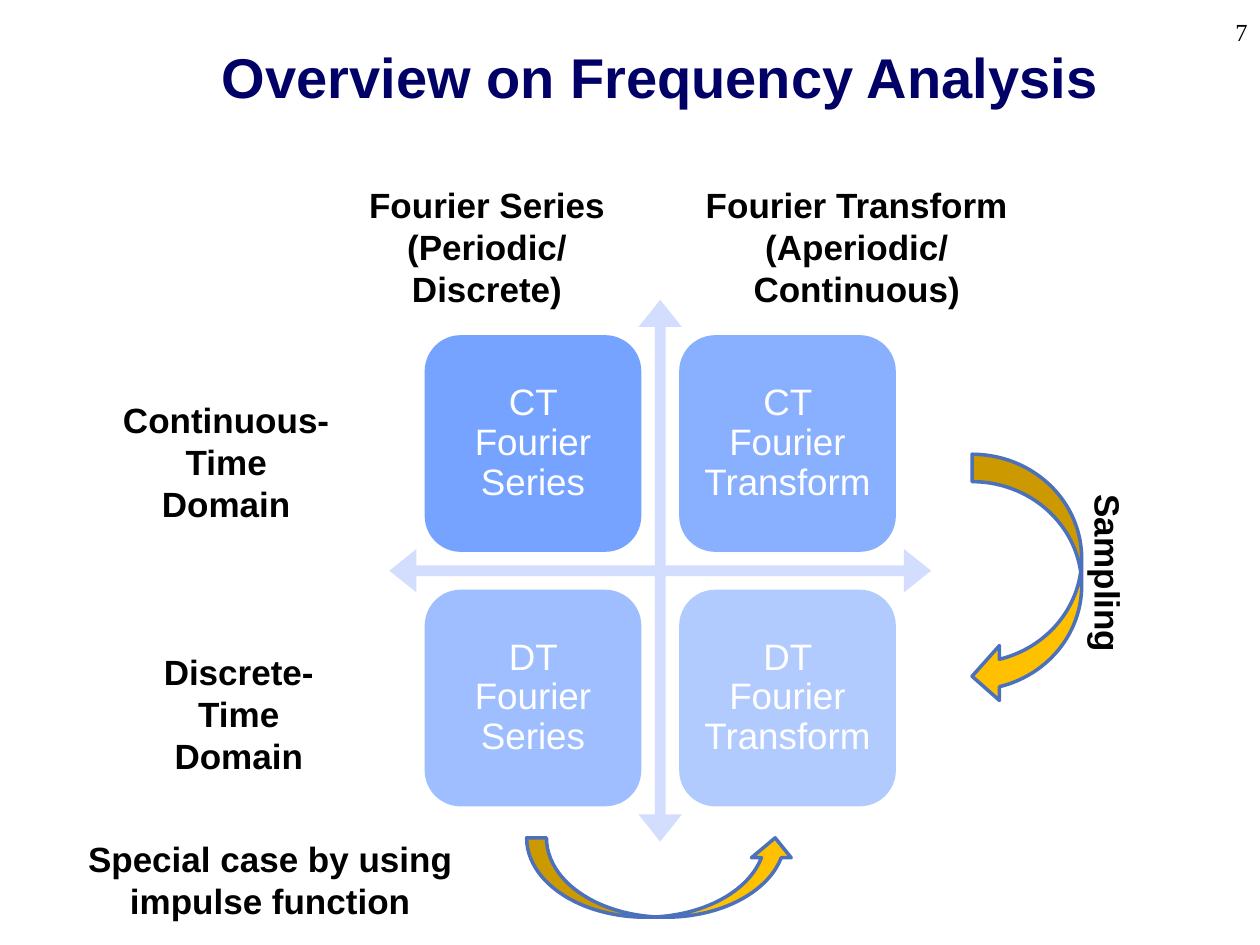
from lxml.etree import SubElement
from pptx import Presentation
from pptx.dml.color import RGBColor
from pptx.enum.shapes import MSO_SHAPE as Shape
from pptx.enum.text import MSO_ANCHOR as Anchor, PP_ALIGN as Align
from pptx.oxml.ns import qn
from pptx.util import Inches, Pt

NAVY = RGBColor(0x00, 0x00, 0x66)
BLACK = RGBColor(0x00, 0x00, 0x00)
WHITE = RGBColor(0xFF, 0xFF, 0xFF)
BLUE = RGBColor(0x66, 0x99, 0xFF)
PALE_BLUE = RGBColor(0xD3, 0xDE, 0xFF)
GOLD = RGBColor(0xFF, 0xC0, 0x00)
OUTLINE = RGBColor(0x4B, 0x71, 0xBD)

TILE_LEFT, TILE_TOP = 3.37, 2.66
TILE_SIZE, TILE_PITCH = 1.72, 2.02
TILES = [
    ["CT Fourier Series", "CT Fourier Transform"],
    ["DT Fourier Series", "DT Fourier Transform"],
]
TILE_OPACITY = [[90, 77], [63, 50]]

LABELS = [
    ("Continuous-Time\nDomain", (0.7, 3.11, 2.19, 0.77), 0),
    ("Discrete-Time\nDomain", (0.99, 5.11, 1.81, 0.77), 0),
    ("Fourier Series\n(Periodic/Discrete)", (2.67, 1.41, 2.39, 0.77), 0),
    ("Fourier Transform\n(Aperiodic/Continuous)", (5.33, 1.41, 2.94, 0.77), 0),
    ("Special case by using impulse function", (0.43, 6.6, 3.43, 0.77), 0),
    ("Sampling ", (7.08, 4.37, 3.43, 0.44), 90),
]


def inches(place):
    return [Inches(length) for length in place]


def write(frame, text, size=20, color=BLACK, bold=True, font="Arial",
          align=Align.CENTER, anchor=Anchor.TOP, spacing=1.0, inset=(0.1, 0.05)):
    """Fill a text frame, one paragraph for each line of text."""
    frame.word_wrap = True
    frame.vertical_anchor = anchor
    frame.margin_left = frame.margin_right = Inches(inset[0])
    frame.margin_top = frame.margin_bottom = Inches(inset[1])
    for index, line in enumerate(text.split("\n")):
        para = frame.add_paragraph() if index else frame.paragraphs[0]
        para.alignment = align
        para.line_spacing = spacing
        para.space_before = Pt(0)
        span = para.add_run()
        span.text = line
        span.font.name = font
        span.font.size = Pt(size)
        span.font.bold = bold
        span.font.color.rgb = color


def add_title(page, text):
    title = page.shapes.title
    title.left, title.top, title.width, title.height = inches((0.79, 0.29, 8.9, 0.92))
    write(title.text_frame, text, size=32, color=NAVY)


def add_label(page, text, place, rotation=0, **text_format):
    box = page.shapes.add_textbox(*inches(place))
    box.rotation = rotation
    write(box.text_frame, text, **text_format)


def add_filled_shape(page, kind, place, color, opacity=100):
    shape = page.shapes.add_shape(kind, *inches(place))
    shape.shadow.inherit = False
    shape.fill.solid()
    shape.fill.fore_color.rgb = color
    shape.line.fill.background()
    if opacity < 100:
        color_node = shape.fill._xPr.find(".//" + qn("a:srgbClr"))
        SubElement(color_node, qn("a:alpha"), val=str(opacity * 1000))
    return shape


def add_axes(page):
    axes = add_filled_shape(page, Shape.QUAD_ARROW, (3.09, 2.38, 4.3, 4.3), PALE_BLUE)
    for index, value in enumerate((0.02, 0.04, 0.05)):
        axes.adjustments[index] = value


def add_tiles(page):
    for row, names in enumerate(TILES):
        for column, name in enumerate(names):
            place = (TILE_LEFT + column * TILE_PITCH, TILE_TOP + row * TILE_PITCH,
                     TILE_SIZE, TILE_SIZE)
            tile = add_filled_shape(page, Shape.ROUNDED_RECTANGLE, place, BLUE,
                                    TILE_OPACITY[row][column])
            write(tile.text_frame, name, size=21, color=WHITE, bold=False,
                  anchor=Anchor.MIDDLE, spacing=0.9, inset=(0.09, 0.09))


def add_curved_arrow(page, place, rotation=0, flipped=False):
    arrow = add_filled_shape(page, Shape.CURVED_UP_ARROW, place, GOLD)
    arrow.line.color.rgb = OUTLINE
    arrow.line.width = Pt(2)
    arrow.rotation = rotation
    if flipped:
        arrow._element.spPr.find(qn("a:xfrm")).set("flipH", "1")


def main():
    deck = Presentation()
    deck.slide_width, deck.slide_height = Inches(10), Inches(7.5)
    page = deck.slides.add_slide(deck.slide_layouts[5])

    add_label(page, "7", (7.92, 0, 2.08, 0.5), size=14, bold=False,
              font="Times New Roman", align=Align.RIGHT, anchor=Anchor.MIDDLE)
    add_title(page, "Overview on Frequency Analysis")
    add_axes(page)
    add_tiles(page)
    for text, place, rotation in LABELS:
        add_label(page, text, place, rotation)
    add_curved_arrow(page, (4.18, 6.65, 2.13, 0.63))
    add_curved_arrow(page, (7.16, 4.16, 1.98, 0.87), rotation=270, flipped=True)

    deck.save("out.pptx")


if __name__ == "__main__":
    main()
